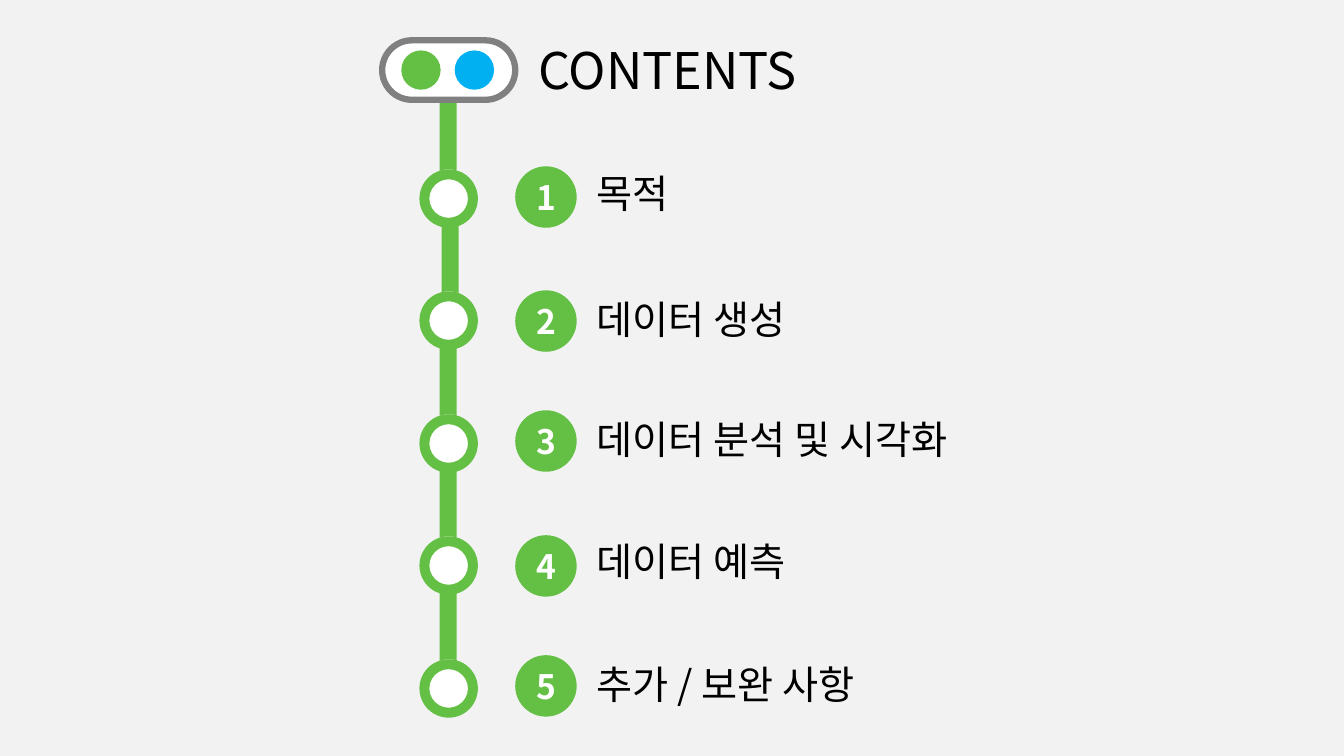
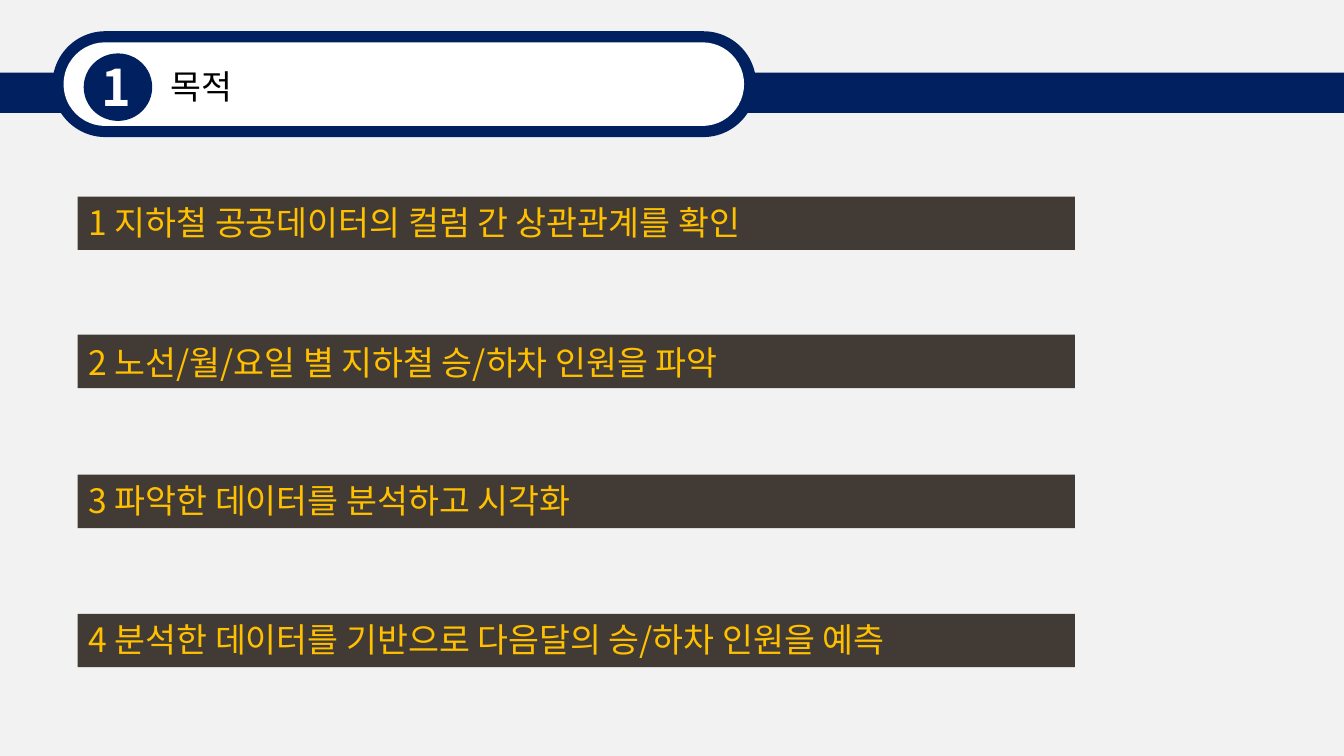
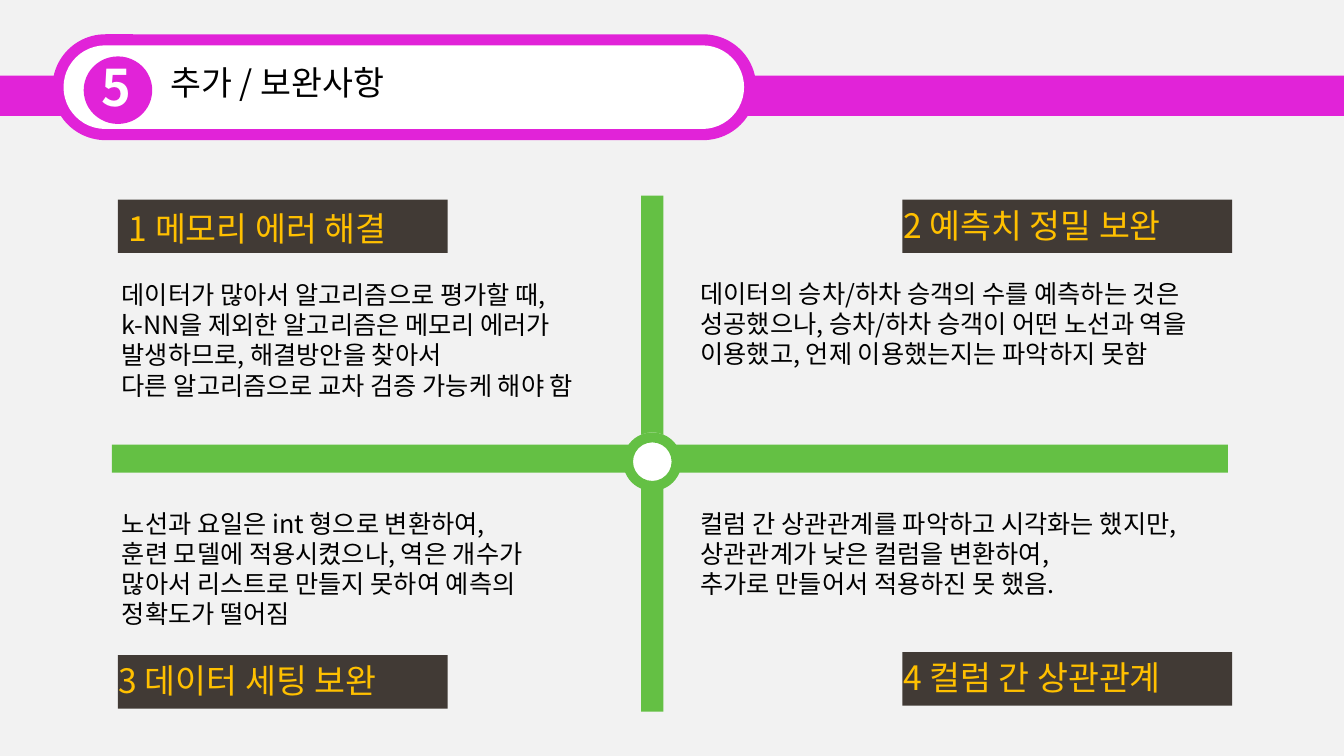
"""Build a contents slide, a purpose slide and a follow-up slide on subway data."""
import dataclasses
import typing

import lxml.etree
import pptx
import pptx.dml.color
import pptx.enum.shapes
import pptx.enum.text
import pptx.oxml.ns
import pptx.util

RGB = pptx.dml.color.RGBColor
PRESET = pptx.enum.shapes.MSO_SHAPE
ALIGN = pptx.enum.text.PP_ALIGN
ANCHOR = pptx.enum.text.MSO_ANCHOR

PX = 9144
FONT = "Noto Sans CJK KR"
PAPER = RGB(0xF2, 0xF2, 0xF2)
WHITE = RGB(0xFF, 0xFF, 0xFF)
BLACK = RGB(0x00, 0x00, 0x00)
GREEN = RGB(0x64, 0xC0, 0x44)
BLUE = RGB(0x00, 0xB0, 0xF0)
GRAY = RGB(0x80, 0x80, 0x80)
NAVY = RGB(0x00, 0x20, 0x60)
MAGENTA = RGB(0xE1, 0x23, 0xD8)
BROWN = RGB(0x41, 0x3A, 0x35)
AMBER = RGB(0xFF, 0xC0, 0x00)


class Rect(typing.NamedTuple):
    left: int
    top: int
    width: int
    height: int

    def emu(self) -> list[int]:
        return [length * PX for length in self]


@dataclasses.dataclass(frozen=True)
class Chapter:
    title: str
    badge_top: int
    title_top: int
    title_width: int


@dataclasses.dataclass(frozen=True)
class Header:
    number: str
    title: str
    color: RGB
    top: int
    title_top: int
    title_width: int


@dataclasses.dataclass(frozen=True)
class Caption:
    text: str
    bar: Rect
    box: Rect


@dataclasses.dataclass(frozen=True)
class Note:
    caption: Caption
    box: Rect
    lines: tuple[str, ...]


CHAPTERS = (
    Chapter("목적", 165, 163, 278),
    Chapter("데이터 생성", 288, 288, 374),
    Chapter("데이터 분석 및 시각화", 407, 407, 428),
    Chapter("데이터 예측", 531, 528, 297),
    Chapter("추가 / 보완 사항", 650, 650, 414),
)
TRACKS = (
    Rect(436, 99, 17, 94),
    Rect(438, 220, 17, 97),
    Rect(436, 320, 17, 103),
    Rect(436, 446, 17, 99),
    Rect(436, 584, 17, 99),
)
PURPOSE = Header("1", "목적", NAVY, 31, 60, 474)
FOLLOW_UP = Header("5", "추가 / 보완사항", MAGENTA, 34, 57, 544)
GOALS = tuple(
    Caption(text, Rect(77, bar_top, 989, 53), Rect(78, text_top, 912, 50))
    for text, bar_top, text_top in (
        ("1 지하철 공공데이터의 컬럼 간 상관관계를 확인", 195, 195),
        ("2 노선/월/요일 별 지하철 승/하차 인원을 파악", 332, 334),
        ("3 파악한 데이터를 분석하고 시각화", 471, 471),
        ("4 분석한 데이터를 기반으로 다음달의 승/하차 인원을 예측", 609, 609),
    )
)
NOTES = (
    Note(
        Caption("1 메모리 에러 해결", Rect(117, 198, 327, 53), Rect(118, 201, 320, 50)),
        Rect(111, 272, 537, 131),
        (
            "데이터가 많아서 알고리즘으로 평가할 때,",
            "k-NN을 제외한 알고리즘은 메모리 에러가",
            "발생하므로, 해결방안을 찾아서",
            "다른 알고리즘으로 교차 검증 가능케 해야 함",
        ),
    ),
    Note(
        Caption("2 예측치 정밀 보완", Rect(895, 198, 327, 53), Rect(886, 198, 320, 50)),
        Rect(685, 271, 563, 101),
        (
            "데이터의 승차/하차 승객의 수를 예측하는 것은",
            "성공했으나, 승차/하차 승객이 어떤 노선과 역을",
            "이용했고, 언제 이용했는지는 파악하지 못함",
        ),
    ),
    Note(
        Caption("3 데이터 세팅 보완", Rect(117, 650, 327, 53), Rect(108, 650, 320, 50)),
        Rect(111, 499, 469, 131),
        (
            "노선과 요일은 int 형으로 변환하여,",
            "훈련 모델에 적용시켰으나, 역은 개수가",
            "많아서 리스트로 만들지 못하여 예측의",
            "정확도가 떨어짐",
        ),
    ),
    Note(
        Caption("4 컬럼 간 상관관계", Rect(895, 647, 327, 53), Rect(886, 647, 320, 50)),
        Rect(685, 499, 550, 101),
        (
            "컬럼 간 상관관계를 파악하고 시각화는 했지만,",
            "상관관계가 낮은 컬럼을 변환하여,",
            "추가로 만들어서 적용하진 못 했음.",
        ),
    ),
)


def write(
    frame,
    *lines: str,
    size: int,
    color: RGB = BLACK,
    bold: bool = False,
    align: ALIGN = ALIGN.LEFT,
) -> None:
    for index, line in enumerate(lines):
        para = frame.paragraphs[0] if index == 0 else frame.add_paragraph()
        para.alignment = align
        span = para.add_run()
        span.text = line
        span.font.size = pptx.util.Pt(size)
        span.font.bold = bold
        span.font.color.rgb = color
        span.font.name = FONT
        east_asian = lxml.etree.SubElement(
            span._r.get_or_add_rPr(), pptx.oxml.ns.qn("a:ea")
        )
        east_asian.set("typeface", FONT)


def add_text(page, rect: Rect, *lines: str, **style) -> None:
    frame = page.shapes.add_textbox(*rect.emu()).text_frame
    frame.word_wrap = True
    frame.auto_size = pptx.enum.text.MSO_AUTO_SIZE.SHAPE_TO_FIT_TEXT
    write(frame, *lines, **style)


def add_shape(
    parent, preset: PRESET, rect: Rect, fill: RGB, adjust: float | None = None
):
    shape = parent.shapes.add_shape(preset, *rect.emu())
    shape.shadow.inherit = False
    shape.fill.solid()
    shape.fill.fore_color.rgb = fill
    shape.line.fill.background()
    if adjust is not None:
        shape.adjustments[0] = adjust
    return shape


def add_station(page, left: int, top: int) -> None:
    group = page.shapes.add_group_shape()
    add_shape(group, PRESET.OVAL, Rect(left + 3, top, 52, 52), WHITE)
    add_shape(group, PRESET.DONUT, Rect(left, top, 58, 58), GREEN, 0.17)


def add_header(page, header: Header) -> None:
    top, color = header.top, header.color
    add_shape(page, PRESET.RECTANGLE, Rect(0, top + 41, 1333, 40), color)
    add_shape(page, PRESET.ROUNDED_RECTANGLE, Rect(52, top, 698, 105), color, 0.5)
    add_shape(page, PRESET.ROUNDED_RECTANGLE, Rect(63, top + 11, 675, 83), WHITE, 0.5)
    add_shape(page, PRESET.OVAL, Rect(83, top + 22, 68, 67), color)
    title_box = Rect(159, header.title_top, header.title_width, 50)
    add_text(page, title_box, header.title, size=24)
    number_box = Rect(91, 51, 54, 71)
    add_text(page, number_box, header.number, size=36, color=WHITE, bold=True)


def add_caption(page, caption: Caption) -> None:
    add_shape(page, PRESET.RECTANGLE, caption.bar, BROWN)
    add_text(page, caption.box, caption.text, size=24, color=AMBER)


def draw_contents(page) -> None:
    for track in TRACKS:
        add_shape(page, PRESET.RECTANGLE, track, GREEN)
    for index, chapter in enumerate(CHAPTERS):
        add_station(page, 416, 168 + index * 243 // 2)
        badge = add_shape(
            page, PRESET.OVAL, Rect(511, chapter.badge_top, 61, 61), GREEN
        )
        badge.text_frame.vertical_anchor = ANCHOR.MIDDLE
        write(
            badge.text_frame,
            str(index + 1),
            size=24,
            color=WHITE,
            bold=True,
            align=ALIGN.CENTER,
        )
        title_box = Rect(582, chapter.title_top, chapter.title_width, 57)
        add_text(page, title_box, chapter.title, size=28)
    signal = add_shape(
        page, PRESET.ROUNDED_RECTANGLE, Rect(379, 40, 132, 59), WHITE, 0.5
    )
    signal.line.color.rgb = GRAY
    signal.line.width = pptx.util.Pt(4.5)
    for left, color in ((398, GREEN), (451, BLUE)):
        add_shape(page, PRESET.OVAL, Rect(left, 50, 39, 39), color)
    add_text(page, Rect(524, 34, 399, 71), "CONTENTS", size=36)


def draw_purpose(page) -> None:
    add_header(page, PURPOSE)
    for goal in GOALS:
        add_caption(page, goal)


def draw_follow_up(page) -> None:
    add_header(page, FOLLOW_UP)
    for axis in (Rect(111, 441, 1107, 28), Rect(636, 194, 22, 512)):
        add_shape(page, PRESET.RECTANGLE, axis, GREEN)
    add_station(page, 618, 429)
    for note in NOTES:
        add_caption(page, note.caption)
        add_text(page, note.box, *note.lines, size=18)


def main() -> None:
    deck = pptx.Presentation()
    deck.slide_width = 1333 * PX
    deck.slide_height = 750 * PX
    background = deck.slide_master.background.fill
    background.solid()
    background.fore_color.rgb = PAPER
    for draw in (draw_contents, draw_purpose, draw_follow_up):
        draw(deck.slides.add_slide(deck.slide_layouts[6]))
    deck.save("out.pptx")


if __name__ == "__main__":
    main()
